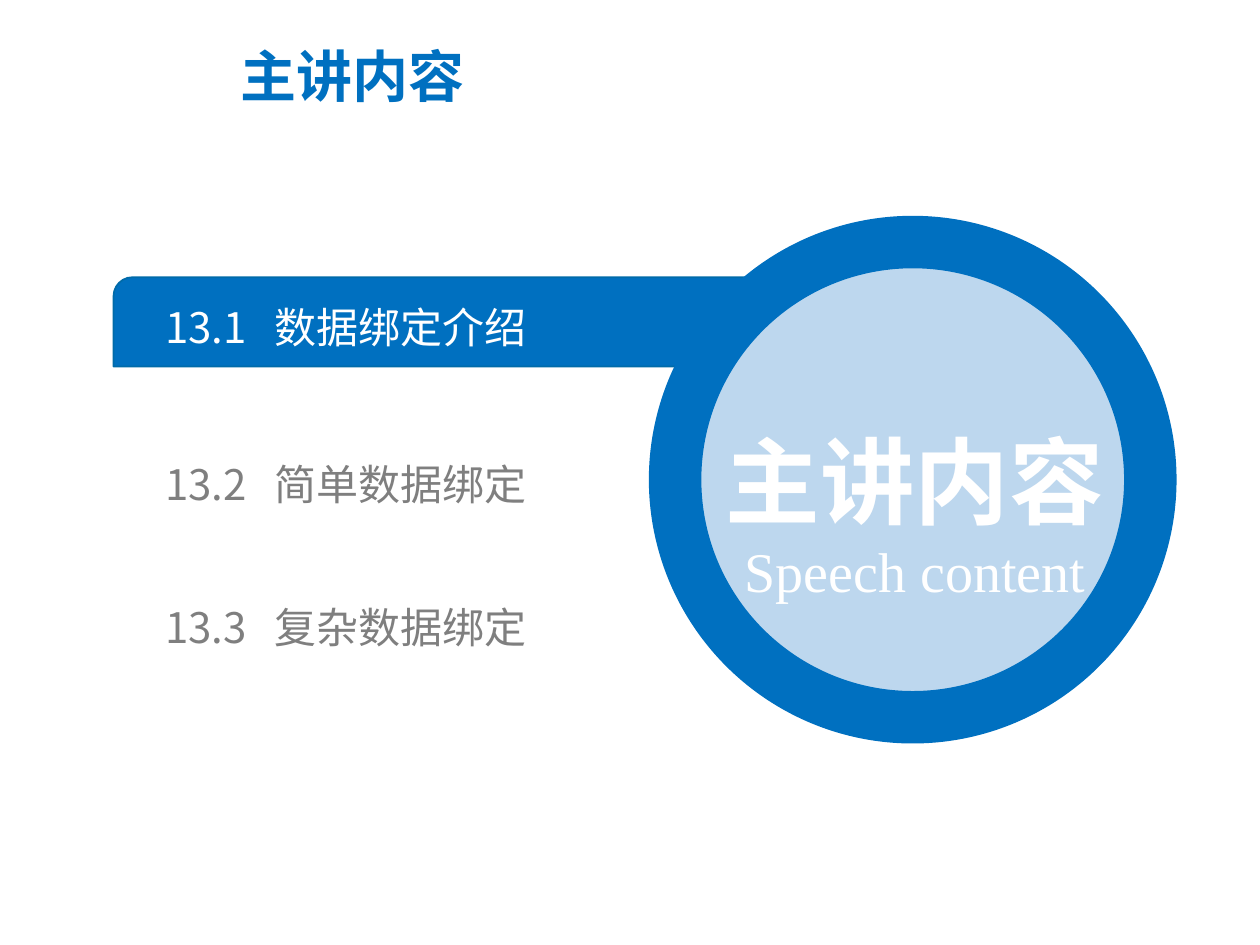
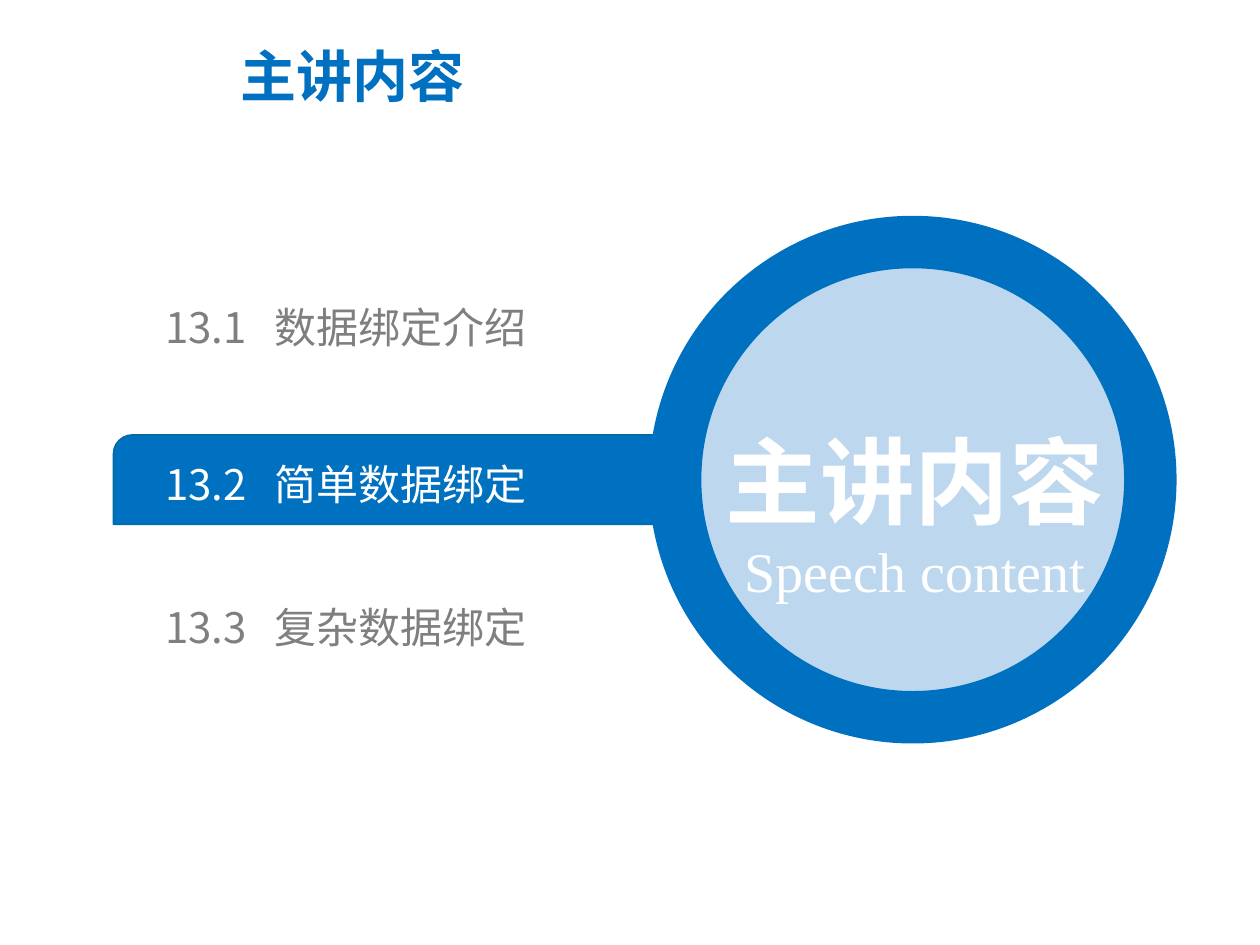
from lxml import etree
from pptx import Presentation
from pptx import util as u
from pptx.dml.color import RGBColor
from pptx.enum import shapes, text
from pptx.oxml import ns

# Content
TITLE = "主讲内容"
SUBTITLE = "Speech content"
TOPICS = [("13.1", "数据绑定介绍", 6.07),
          ("13.2", "简单数据绑定", 9.25),
          ("13.3", "复杂数据绑定", 12.12)]  # number, name, top in cm
ACTIVE_TOPICS = [0, 1]  # one slide for each

# Shared look
COLORS = {"blue": "0070C0", "edge": "006BA9", "pale": "BDD7EE",
          "white": "FFFFFF", "grey": "7F7F7F"}
SANS, SERIF = "Noto Sans CJK SC", "Times New Roman"
FORMATS = {
    "title": {"size": u.Pt(32), "name": SANS, "bold": True},
    "caption": {"size": u.Pt(54), "name": SANS, "bold": True},
    "subtitle": {"size": u.Pt(32), "name": SERIF, "bold": False},
    "topic": {"size": u.Pt(24), "name": SANS, "bold": False},
}
PADDING = (0.25, 0.13)
TOPIC_LEFT, TOPIC_WIDTH, TOPIC_HEIGHT = 3.33, 11.7, 1.02
NAME_INDENT = 2.2
BAND_LEFT, BAND_WIDTH, BAND_HEIGHT = 2.29, 15.9, 1.8


def rgb(color):
    return RGBColor.from_string(COLORS[color])


def cm(*lengths):
    return [u.Cm(length) for length in lengths]


def add_line(paragraph, words, style, color):
    run = paragraph.add_run()
    run.text = words
    for attribute, value in FORMATS[style].items():
        setattr(run.font, attribute, value)
    run.font.color.rgb = rgb(color)
    east_asian = etree.SubElement(run.font._element, ns.qn("a:ea"))
    east_asian.set("typeface", FORMATS[style]["name"])


def add_frame(slide, box, padding, anchor):
    frame = slide.shapes.add_textbox(*cm(*box)).text_frame
    across, down = cm(*padding)
    settings = {"word_wrap": True, "vertical_anchor": anchor,
                "margin_left": across, "margin_right": across,
                "margin_top": down, "margin_bottom": down}
    for attribute, value in settings.items():
        setattr(frame, attribute, value)
    return frame


def add_figure(slide, kind, box, fill, line, width):
    figure = slide.shapes.add_shape(kind, *cm(*box))
    figure.shadow.inherit = False
    figure.fill.solid()
    figure.fill.fore_color.rgb = rgb(fill)
    figure.line.color.rgb = rgb(line)
    figure.line.width = u.Pt(width)
    return figure


def add_title(slide):
    frame = add_frame(slide, (4.6, 0.86, 15.62, 2.16), PADDING, text.MSO_ANCHOR.TOP)
    frame.paragraphs[0].line_spacing = 0.9
    add_line(frame.paragraphs[0], TITLE, "title", "blue")


def add_band(slide, topic_top):
    top = topic_top - (BAND_HEIGHT - TOPIC_HEIGHT) / 2 - 0.09
    band = add_figure(slide, shapes.MSO_SHAPE.ROUND_2_DIAG_RECTANGLE,
                      (BAND_LEFT, top, BAND_WIDTH, BAND_HEIGHT), "blue", "edge", 1)
    band.adjustments[0] = 0.21


def add_disc(slide):
    add_figure(slide, shapes.MSO_SHAPE.OVAL, (13.61, 4.88, 9.58, 9.58),
               "pale", "blue", 30)
    frame = add_frame(slide, (13.49, 7.26, 9.91, 5.05), PADDING, text.MSO_ANCHOR.MIDDLE)
    caption, subtitle = frame.paragraphs[0], frame.add_paragraph()
    caption.line_spacing = 1.5
    add_line(caption, TITLE, "caption", "white")
    add_line(subtitle, SUBTITLE, "subtitle", "white")
    for paragraph in (caption, subtitle):
        paragraph.alignment = text.PP_ALIGN.CENTER


def add_topic(slide, number, name, top, color):
    frame = add_frame(slide, (TOPIC_LEFT, top, TOPIC_WIDTH, TOPIC_HEIGHT), (0, 0),
                      text.MSO_ANCHOR.MIDDLE)
    paragraph = frame.paragraphs[0]
    # Tab stop that lines up the topic names
    tabs = etree.SubElement(paragraph._p.get_or_add_pPr(), ns.qn("a:tabLst"))
    etree.SubElement(tabs, ns.qn("a:tab"), pos=str(u.Cm(NAME_INDENT)), algn="l")
    add_line(paragraph, f"{number}\t{name}", "topic", color)


def add_agenda(deck, active):
    slide = deck.slides.add_slide(deck.slide_layouts[6])
    add_title(slide)
    add_band(slide, TOPICS[active][2])
    add_disc(slide)
    for index, topic in enumerate(TOPICS):
        add_topic(slide, *topic, "white" if index == active else "grey")


def main():
    deck = Presentation()
    deck.slide_width, deck.slide_height = cm(25.4, 19.05)
    for active in ACTIVE_TOPICS:
        add_agenda(deck, active)
    deck.save("out.pptx")


if __name__ == "__main__":
    main()
